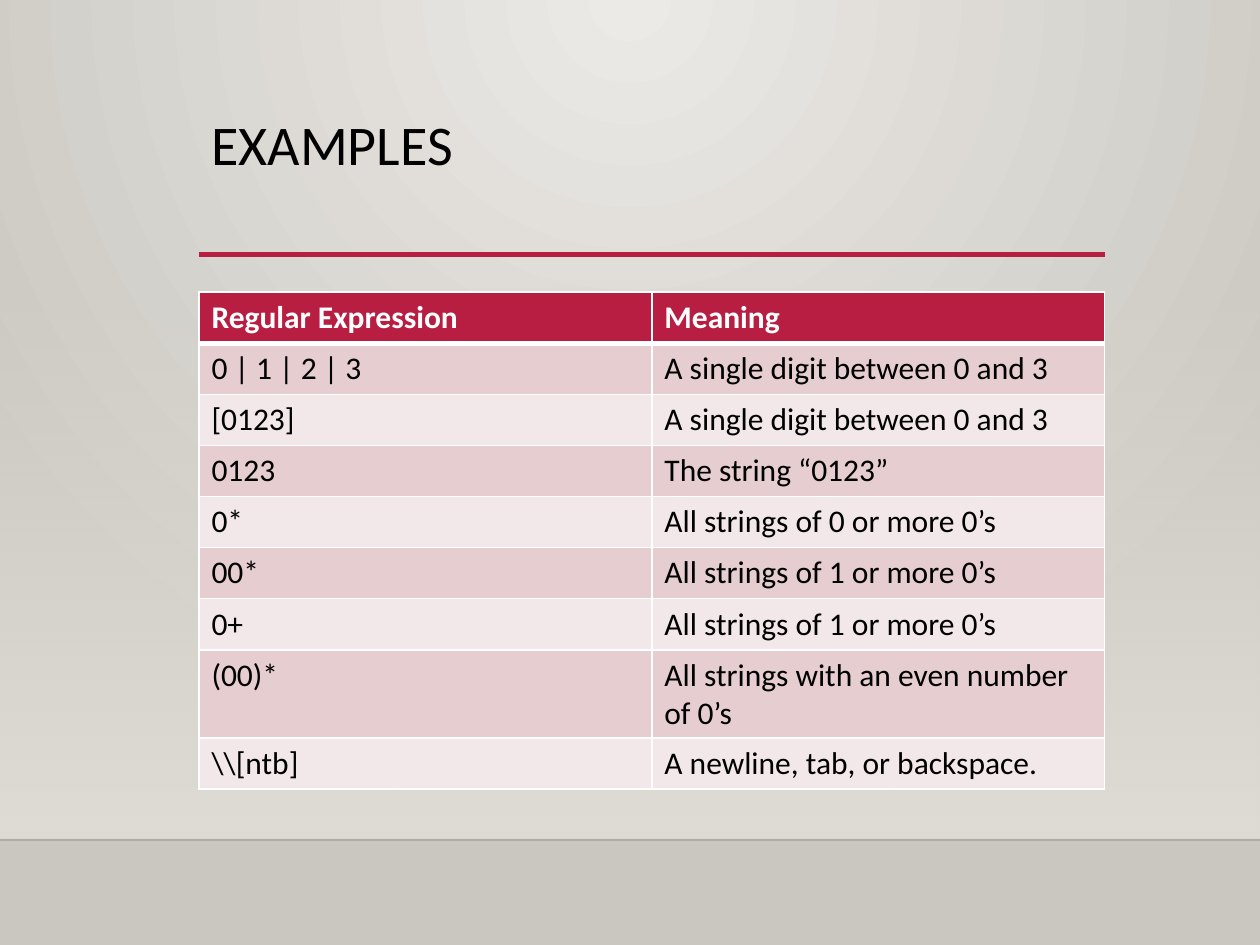
from pptx import Presentation
from pptx.dml.color import RGBColor
from pptx.enum.shapes import MSO_CONNECTOR, MSO_SHAPE
from pptx.enum.text import MSO_ANCHOR
from pptx.oxml import parse_xml
from pptx.oxml.ns import nsdecls, qn
from pptx.util import Cm, Pt

COLOURS = {
    "glow": "ECEAE7", "edge": "CAC7C1", "haze": "DFDBD5", "accent": "B71E42",
    "ink": "000000", "floor": "000001", "white": "FFFFFF",
    "dark band": "E6CDCF", "light band": "F3E8E9",
}
TITLE = {"name": "Calibri", "size": Pt(32), "bold": False}
HEADER = {"name": "Calibri", "size": Pt(18), "bold": True}
BODY = {**HEADER, "bold": False}
WIDTH, HEIGHT = 25.4, 19.05
LEFT, CONTENT_WIDTH = 4.01, 18.26
HAZE_TOP, FLOOR_TOP = 5.6, 16.93
ROWS = [
    ("Regular Expression", "Meaning"),
    ("0 | 1 | 2 | 3", "A single digit between 0 and 3"),
    ("[0123]", "A single digit between 0 and 3"),
    ("0123", "The string “0123”"),
    ("0*", "All strings of 0 or more 0’s"),
    ("00*", "All strings of 1 or more 0’s"),
    ("0+", "All strings of 1 or more 0’s"),
    ("(00)*", "All strings with an even number of 0’s"),
    (r"\\[ntb]", "A newline, tab, or backspace."),
]


class SlideBuilder:
    """Hold the style and the current slide, and draw each kind of element."""

    def __init__(self, page, colours):
        self.page = page
        self.colours = colours

    def rgb(self, name):
        return RGBColor.from_string(self.colours[name])

    def make_transparent(self, element, percent):
        colour = next(element.iter(qn("a:srgbClr")))
        colour.append(parse_xml(f'<a:alpha {nsdecls("a")} val="{percent * 1000}"/>'))

    def gradient(self, fill, owner, names):
        fill.gradient()
        for stop, name in zip(fill.gradient_stops, names):
            stop.color.rgb = self.rgb(name)
        return next(owner.iter(qn("a:gradFill")))

    def background(self, centre, edge):
        fill = self.page.background.fill
        gradient = self.gradient(fill, self.page.element, (centre, edge))
        circle = parse_xml(
            f'<a:path {nsdecls("a")} path="circle">'
            '<a:fillToRect l="43000" t="0" r="43000" b="100000"/></a:path>')
        gradient.replace(gradient.find(qn("a:lin")), circle)

    def haze(self, left, top, width, height, name):
        shape = self.page.shapes.add_shape(
            MSO_SHAPE.RECTANGLE, Cm(left), Cm(top), Cm(width), Cm(height))
        shape.shadow.inherit = False
        shape.line.fill.background()
        gradient = self.gradient(shape.fill, shape.element, (name, name))
        shape.fill.gradient_angle = 270
        self.make_transparent(gradient, 0)

    def rule(self, left, top, width, name, points, opacity=100):
        line = self.page.shapes.add_connector(
            MSO_CONNECTOR.STRAIGHT, Cm(left), Cm(top), Cm(left + width), Cm(top))
        line.line.color.rgb = self.rgb(name)
        line.line.width = Pt(points)
        if opacity < 100:
            self.make_transparent(line.element, opacity)
        line.element.spPr.append(parse_xml(f'<a:effectLst {nsdecls("a")}/>'))

    def add_text(self, frame, text, style, name):
        para = frame.paragraphs[0]
        span = para.add_run()
        span.text = text
        for key, value in style.items():
            setattr(span.font, key, value)
        span.font.color.rgb = self.rgb(name)
        return para

    def title(self, left, top, width, height, text):
        box = self.page.shapes.add_textbox(Cm(left), Cm(top), Cm(width), Cm(height))
        box.text_frame.word_wrap = True
        box.text_frame.vertical_anchor = MSO_ANCHOR.TOP
        self.add_text(box.text_frame, text, TITLE, "ink").line_spacing = 0.9

    def borders(self, cell, top, bottom):
        properties = cell._tc.get_or_add_tcPr()
        for side, points in {"L": 1, "R": 1, "T": top, "B": bottom}.items():
            properties.append(parse_xml(
                f'<a:ln{side} {nsdecls("a")} w="{Pt(points)}"><a:solidFill>'
                f'<a:srgbClr val="{self.colours["white"]}"/></a:solidFill></a:ln{side}>'))

    def table(self, left, top, width, row_height, rows):
        columns = len(rows[0])
        table = self.page.shapes.add_table(
            len(rows), columns, Cm(left), Cm(top),
            Cm(width), Cm(row_height * len(rows))).table
        for column in table.columns:
            column.width = Cm(width / columns)
        for index, texts in enumerate(rows):
            table.rows[index].height = Cm(row_height)
            band = "dark band" if index % 2 else "light band"
            style, ink, band = (BODY, "ink", band) if index else (HEADER, "white", "accent")
            for cell, text in zip(table.rows[index].cells, texts):
                self.borders(cell, 3 if index == 1 else 1, 1 if index else 3)
                cell.fill.solid()
                cell.fill.fore_color.rgb = self.rgb(band)
                self.add_text(cell.text_frame, text, style, ink)


def main():
    deck = Presentation()
    deck.slide_width, deck.slide_height = Cm(WIDTH), Cm(HEIGHT)
    builder = SlideBuilder(deck.slides.add_slide(deck.slide_layouts[6]), COLOURS)
    builder.background("glow", "edge")
    builder.haze(0, HAZE_TOP, WIDTH, FLOOR_TOP - HAZE_TOP, "haze")
    builder.rule(0, FLOOR_TOP, WIDTH, "floor", 1, opacity=20)
    builder.rule(LEFT, 5.13, CONTENT_WIDTH, "accent", 2.5)
    builder.title(LEFT, 2.23, CONTENT_WIDTH, 2.91, "EXAMPLES")
    builder.table(LEFT, 5.89, CONTENT_WIDTH, 1.03, ROWS)
    deck.save("out.pptx")


if __name__ == "__main__":
    main()
